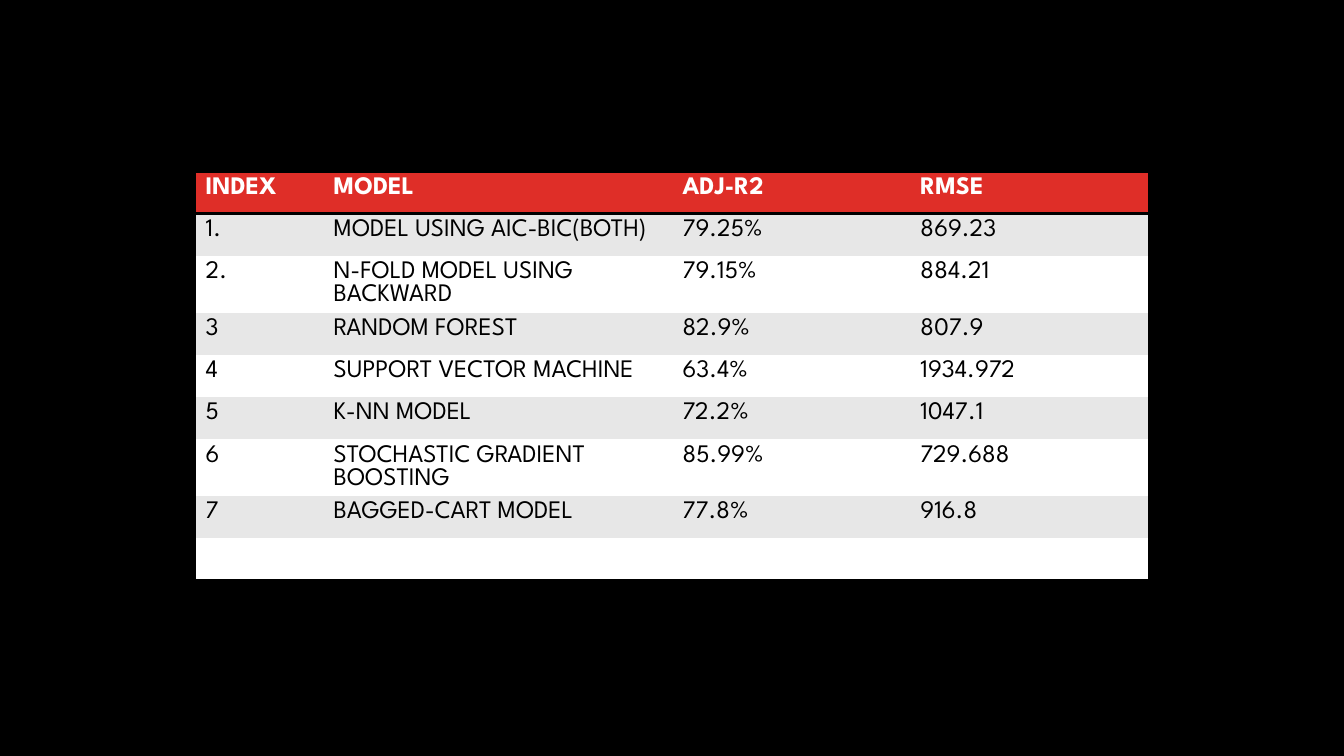
"""Build a slide with a table comparing regression models."""
from lxml import etree
from pptx import Presentation
from pptx.dml.color import RGBColor
from pptx.oxml.ns import qn
from pptx.util import Inches, Pt

PLAIN_STYLE = "{2D5ABB26-0587-4C30-8999-92F81FD0307C}"
COLUMNS = [1.27, 3.46, 2.36, 2.36]
ROW_HEIGHT = 0.42
ROWS = [
    ["INDEX", "MODEL", "ADJ-R2", "RMSE"],
    ["1.", "MODEL USING AIC-BIC(BOTH)", "79.25%", "869.23"],
    ["2.", "N-FOLD MODEL USING BACKWARD", "79.15%", "884.21"],
    ["3", "RANDOM FOREST", "82.9%", "807.9"],
    ["4", "SUPPORT VECTOR MACHINE", "63.4%", "1934.972"],
    ["5", "K-NN MODEL", "72.2%", "1047.1"],
    ["6", "STOCHASTIC GRADIENT BOOSTING", "85.99%", "729.688"],
    ["7", "BAGGED-CART MODEL", "77.8%", "916.8"],
    ["", "", "", ""],
]
BORDERS = {0: ["a:lnT", "a:lnB"], len(ROWS) - 1: ["a:lnB"]}


def paint(fill, color):
    """Give a fill one solid colour."""
    fill.solid()
    fill.fore_color.rgb = RGBColor.from_string(color)


def add_border(cell, side):
    """Draw a black 2 pt line on one side of a cell."""
    ln = etree.SubElement(cell._tc.get_or_add_tcPr(), qn(side), w=str(Pt(2)))
    solid = etree.SubElement(ln, qn("a:solidFill"))
    etree.SubElement(solid, qn("a:srgbClr"), val="000000")


prs = Presentation()
prs.slide_width, prs.slide_height = Inches(13.33), Inches(7.5)
s = prs.slides.add_slide(prs.slide_layouts[6])
paint(s.background.fill, "000000")

frame = s.shapes.add_table(
    len(ROWS), len(COLUMNS), Inches(1.94), Inches(1.7),
    Inches(sum(COLUMNS)), Inches(ROW_HEIGHT * len(ROWS)))
table = frame.table
table._tbl.tblPr.find(qn("a:tableStyleId")).text = PLAIN_STYLE
for column, width in zip(table.columns, COLUMNS):
    column.width = Inches(width)

for i, row in enumerate(ROWS):
    table.rows[i].height = Inches(ROW_HEIGHT)
    header = i == 0
    band = "DF2E28" if header else ["FFFFFF", "E7E7E7"][i % 2]
    font_format = {"name": "League Spartan", "size": Pt(18), "bold": header}
    for j, text in enumerate(row):
        cell = table.cell(i, j)
        for side in BORDERS.get(i, []):
            add_border(cell, side)
        paint(cell.fill, band)
        p = cell.text_frame.paragraphs[0]
        if text:
            r = p.add_run()
            r.text = text
            for key, value in font_format.items():
                setattr(r.font, key, value)
            paint(r.font.fill, "FFFFFF" if header else "000000")

prs.save("out.pptx")
